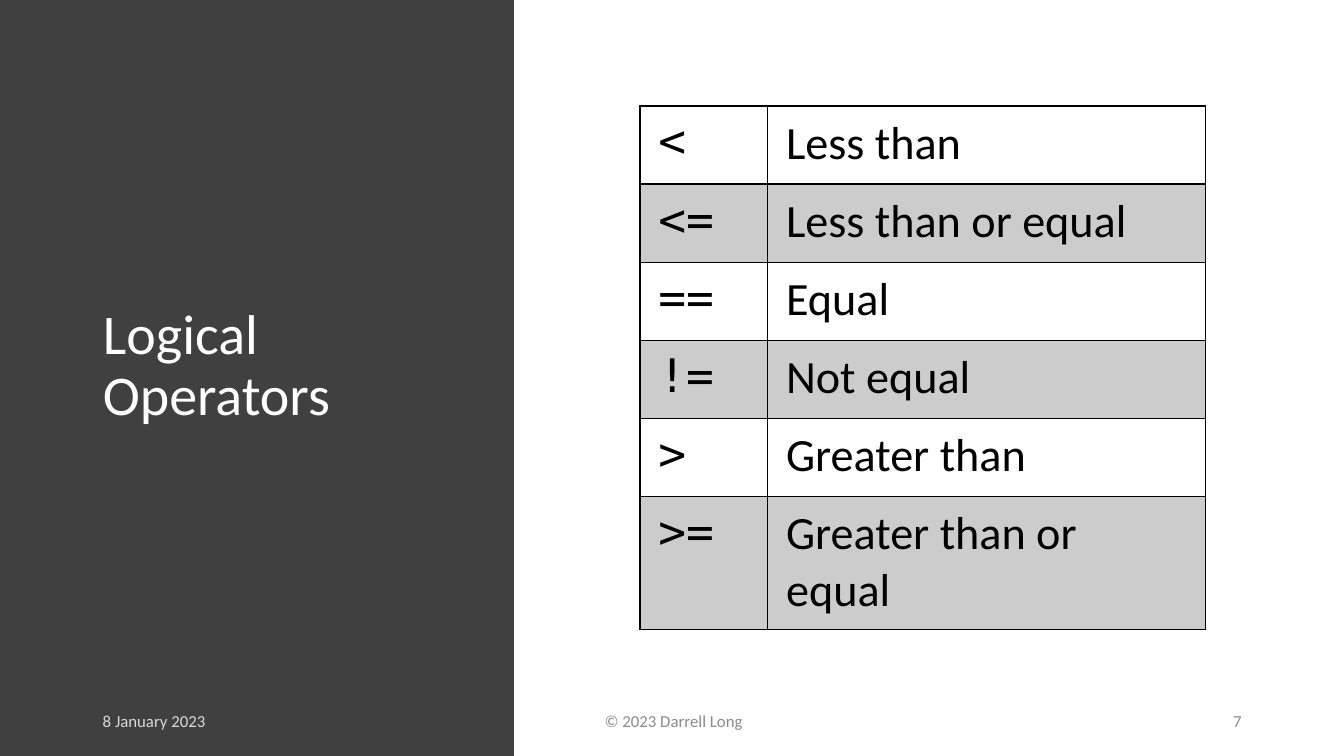
from lxml import etree
from pptx import Presentation
from pptx.dml.color import RGBColor
from pptx.enum import shapes, text
from pptx.oxml import ns
from pptx.util import Cm, Pt

BLACK = RGBColor(0x00, 0x00, 0x00)
WHITE = RGBColor(0xFF, 0xFF, 0xFF)
CHARCOAL = RGBColor(0x40, 0x40, 0x40)
BAND = RGBColor(0xCC, 0xCC, 0xCC)
PALE = RGBColor(0xD9, 0xD9, 0xD9)
GREY = RGBColor(0x8C, 0x8C, 0x8C)

SANS = "Calibri"
MONO = "DejaVu Sans Mono"

OPERATORS = [
    ("<", "Less than"),
    ("<=", "Less than or equal"),
    ("==", "Equal"),
    ("!=", "Not equal"),
    (">", "Greater than"),
    (">=", "Greater than or equal"),
]


def style_runs(para, font_name, size, color):
    """Format every run of a paragraph."""
    for span in para.runs:
        span.font.name = font_name
        span.font.size = Pt(size)
        span.font.color.rgb = color


def add_title_panel(page, left, top, width, height):
    """Draw the dark panel with the slide title on it."""
    panel = page.shapes.add_shape(shapes.MSO_SHAPE.RECTANGLE, left, top, width, height)
    panel.shadow.inherit = False
    panel.fill.solid()
    panel.fill.fore_color.rgb = CHARCOAL
    panel.line.fill.background()

    title = page.shapes.title
    title.element.addprevious(panel.element)
    title.left, title.top = left + Cm(2.34), top + Cm(1.73)
    title.width, title.height = Cm(9.32), Cm(15.04)
    frame = title.text_frame
    frame.text = "Logical Operators"
    frame.word_wrap = True
    frame.auto_size = text.MSO_AUTO_SIZE.NONE
    frame.vertical_anchor = text.MSO_ANCHOR.MIDDLE
    para = frame.paragraphs[0]
    para.alignment = text.PP_ALIGN.LEFT
    para.line_spacing = 0.9
    style_runs(para, SANS, 40, WHITE)


def add_footer(page, left, top, width, height):
    """Place the date, copyright line and page number in the footer strip."""
    items = [
        ("8 January 2023", 2.34, 7.62, PALE, text.PP_ALIGN.LEFT),
        ("© 2023 Darrell Long", 14.99, 12.45, GREY, text.PP_ALIGN.LEFT),
        ("7", 28.14, 3.4, GREY, text.PP_ALIGN.RIGHT),
    ]
    for wording, offset, item_width, color, alignment in items:
        box = page.shapes.add_textbox(left + Cm(offset), top, Cm(item_width), height)
        frame = box.text_frame
        frame.text = wording
        frame.word_wrap = True
        frame.vertical_anchor = text.MSO_ANCHOR.MIDDLE
        para = frame.paragraphs[0]
        para.alignment = alignment
        para.space_after = Pt(6)
        style_runs(para, SANS, 12, color)


def set_borders(cell, top_width, bottom_width):
    """Give a cell solid black borders."""
    properties = cell._tc.get_or_add_tcPr()
    widths = {"L": 1, "R": 1, "T": top_width, "B": bottom_width}
    for side, width in widths.items():
        line = etree.SubElement(properties, ns.qn(f"a:ln{side}"), w=str(Pt(width)))
        fill = etree.SubElement(line, ns.qn("a:solidFill"))
        etree.SubElement(fill, ns.qn("a:srgbClr"), val=str(BLACK))


def add_operator_table(page, left, top, width, height):
    """Build the banded table of operators and their meanings."""
    table = page.shapes.add_table(len(OPERATORS), 2, left, top, width, height).table
    table.columns[0].width = Cm(3.22)
    table.columns[1].width = width - Cm(3.22)
    row_height = Cm(1.97)
    last = len(OPERATORS) - 1
    for index, entry in enumerate(OPERATORS):
        table.rows[index].height = height - last * row_height if index == last else row_height
        for column, font_name in enumerate((MONO, SANS)):
            cell = table.cell(index, column)
            cell.margin_left = cell.margin_right = Cm(0.46)
            cell.margin_top = cell.margin_bottom = Cm(0.23)
            set_borders(cell, 2 if index == 1 else 1, 2 if index == 0 else 1)
            cell.fill.solid()
            cell.fill.fore_color.rgb = BAND if index % 2 else WHITE
            cell.text_frame.text = entry[column]
            para = cell.text_frame.paragraphs[0]
            style_runs(para, font_name, 33, BLACK)
            for span in para.runs:
                span.font.bold = False


def main():
    """Build and save the deck."""
    deck = Presentation()
    deck.slide_width, deck.slide_height = Cm(33.87), Cm(19.05)
    page = deck.slides.add_slide(deck.slide_layouts[5])
    add_title_panel(page, Cm(0), Cm(0), Cm(12.95), deck.slide_height)
    add_footer(page, Cm(0), Cm(17.65), deck.slide_width, Cm(1.02))
    add_operator_table(page, Cm(16.13), Cm(2.67), Cm(14.24), Cm(13.19))
    deck.save("out.pptx")


if __name__ == "__main__":
    main()
